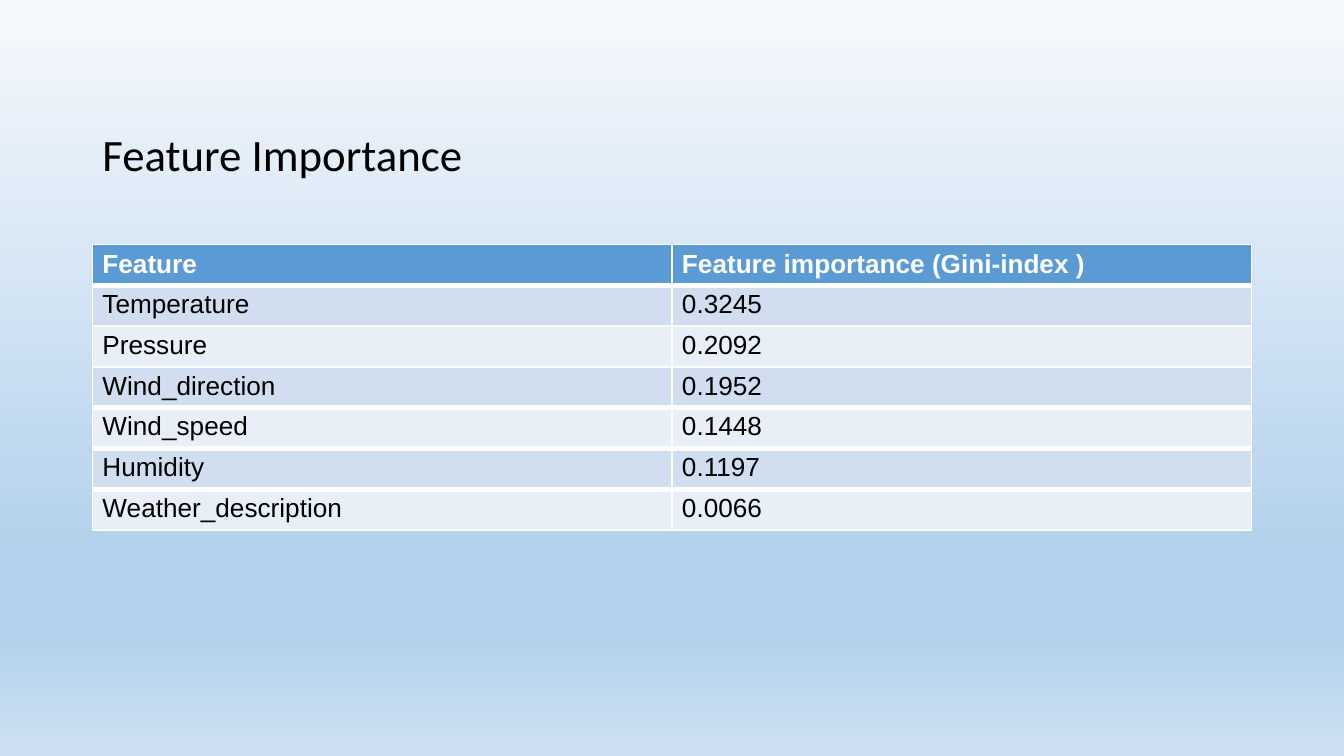
from lxml import etree
from pptx import Presentation
from pptx.dml.color import RGBColor
from pptx.enum.text import MSO_ANCHOR
from pptx.oxml.ns import qn
from pptx.util import Inches, Pt

BOTTOM = MSO_ANCHOR.BOTTOM

BLACK = RGBColor(0x00, 0x00, 0x00)
WHITE = RGBColor(0xFF, 0xFF, 0xFF)
HEADER_BLUE = RGBColor(0x5B, 0x9B, 0xD5)
BAND_DARK = RGBColor(0xD0, 0xDE, 0xEF)
BAND_LIGHT = RGBColor(0xE9, 0xEF, 0xF7)
SKY_STOPS = [
    (0, RGBColor(0xF6, 0xF9, 0xFC)),
    (74, RGBColor(0xB3, 0xD1, 0xEC)),
    (83, RGBColor(0xB3, 0xD1, 0xEC)),
    (100, RGBColor(0xCC, 0xE0, 0xF2)),
]

# Page grid on a 16:9 slide
SLIDE_WIDTH = Inches(10)
SLIDE_HEIGHT = SLIDE_WIDTH * 9 // 16
MARGIN = SLIDE_WIDTH * 11 // 160
CONTENT_WIDTH = SLIDE_WIDTH - 2 * MARGIN
TITLE_TOP, TITLE_HEIGHT = Inches(0.38), Inches(1.01)
TABLE_TOP, ROW_HEIGHT = Inches(1.82), Inches(0.3)
SIDE_INSET, CELL_INSET = Pt(5.4), Pt(2.5)

ROWS = [
    ("Feature", "Feature importance (Gini-index )"),
    ("Temperature", "0.3245"),
    ("Pressure", "0.2092"),
    ("Wind_direction", "0.1952"),
    ("Wind_speed", "0.1448"),
    ("Humidity", "0.1197"),
    ("Weather_description", "0.0066"),
]
THIN, THICK = Pt(1), Pt(3)
ROWS_WITH_THICK_BOTTOM = {0, 3, 4, 5}


def write_text(frame, text, *, font="Arial", size=14, color=BLACK, bold=False, spacing=None):
    paragraph = frame.paragraphs[0]
    paragraph.line_spacing = spacing
    run = paragraph.add_run()
    run.text = text
    run.font.name = font
    run.font.size = Pt(size)
    run.font.bold = bold
    run.font.color.rgb = color


def add_color(parent, color):
    etree.SubElement(parent, qn("a:srgbClr"), val=str(color))


def paint_background(slide):
    fill = slide.background.fill
    fill.gradient()
    fill.gradient_angle = 270
    # The default gradient has two stops; write the full list instead
    stop_list = next(slide.element.iter(qn("a:gsLst")))
    for stop in list(stop_list):
        stop_list.remove(stop)
    for percent, color in SKY_STOPS:
        add_color(etree.SubElement(stop_list, qn("a:gs"), pos=str(percent * 1000)), color)


def add_title(slide, text):
    box = slide.shapes.add_textbox(MARGIN, TITLE_TOP, CONTENT_WIDTH, TITLE_HEIGHT)
    frame = box.text_frame
    frame.word_wrap = True
    frame.vertical_anchor = BOTTOM
    frame.margin_left = frame.margin_right = SIDE_INSET
    frame.margin_top = frame.margin_bottom = Inches(0.04)
    write_text(frame, text, font="Calibri", size=24, spacing=0.9)


def set_borders(cell, top, bottom):
    properties = cell._tc.get_or_add_tcPr()
    widths = {"a:lnL": THIN, "a:lnR": THIN, "a:lnT": top, "a:lnB": bottom}
    # Border lines must come before the fill
    for position, (tag, width) in enumerate(widths.items()):
        line = etree.Element(qn(tag), w=str(width))
        add_color(etree.SubElement(line, qn("a:solidFill")), WHITE)
        properties.insert(position, line)


def bottom_width(row):
    return THICK if row in ROWS_WITH_THICK_BOTTOM else THIN


def style_cell(cell, text, row):
    header = row == 0
    cell.margin_left = cell.margin_right = SIDE_INSET
    cell.margin_top = cell.margin_bottom = CELL_INSET
    cell.fill.solid()
    cell.fill.fore_color.rgb = HEADER_BLUE if header else BAND_DARK if row % 2 else BAND_LIGHT
    write_text(cell.text_frame, text, color=WHITE if header else BLACK, bold=header)
    set_borders(cell, bottom_width(row - 1), bottom_width(row))


def add_importance_table(slide):
    table = slide.shapes.add_table(
        len(ROWS), len(ROWS[0]), MARGIN, TABLE_TOP, CONTENT_WIDTH, ROW_HEIGHT * len(ROWS)
    ).table
    for row, values in enumerate(ROWS):
        for column, text in enumerate(values):
            style_cell(table.cell(row, column), text, row)


def main():
    presentation = Presentation()
    presentation.slide_width = SLIDE_WIDTH
    presentation.slide_height = SLIDE_HEIGHT
    slide = presentation.slides.add_slide(presentation.slide_layouts[6])
    paint_background(slide)
    add_title(slide, "Feature Importance")
    add_importance_table(slide)
    presentation.save("out.pptx")


if __name__ == "__main__":
    main()
